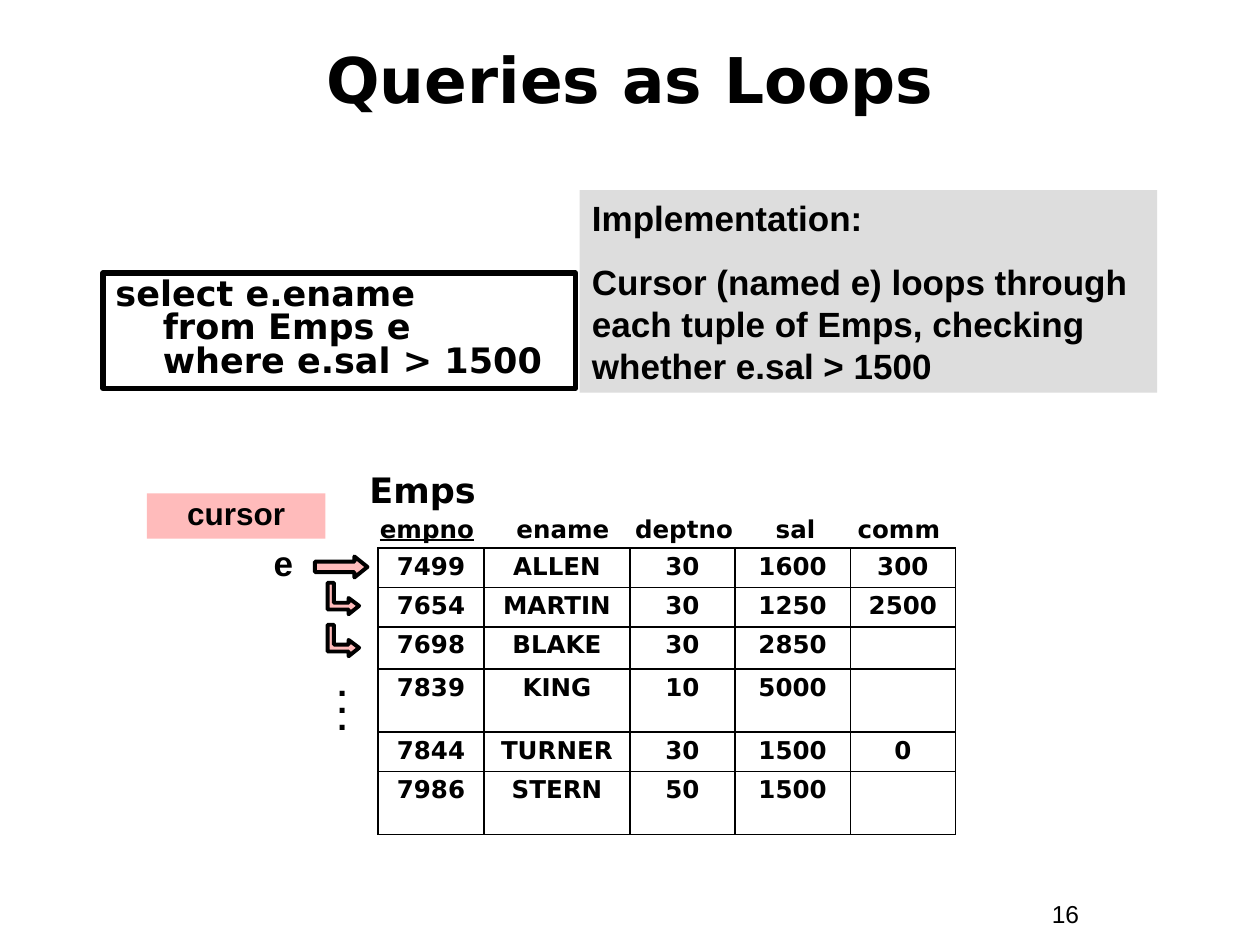
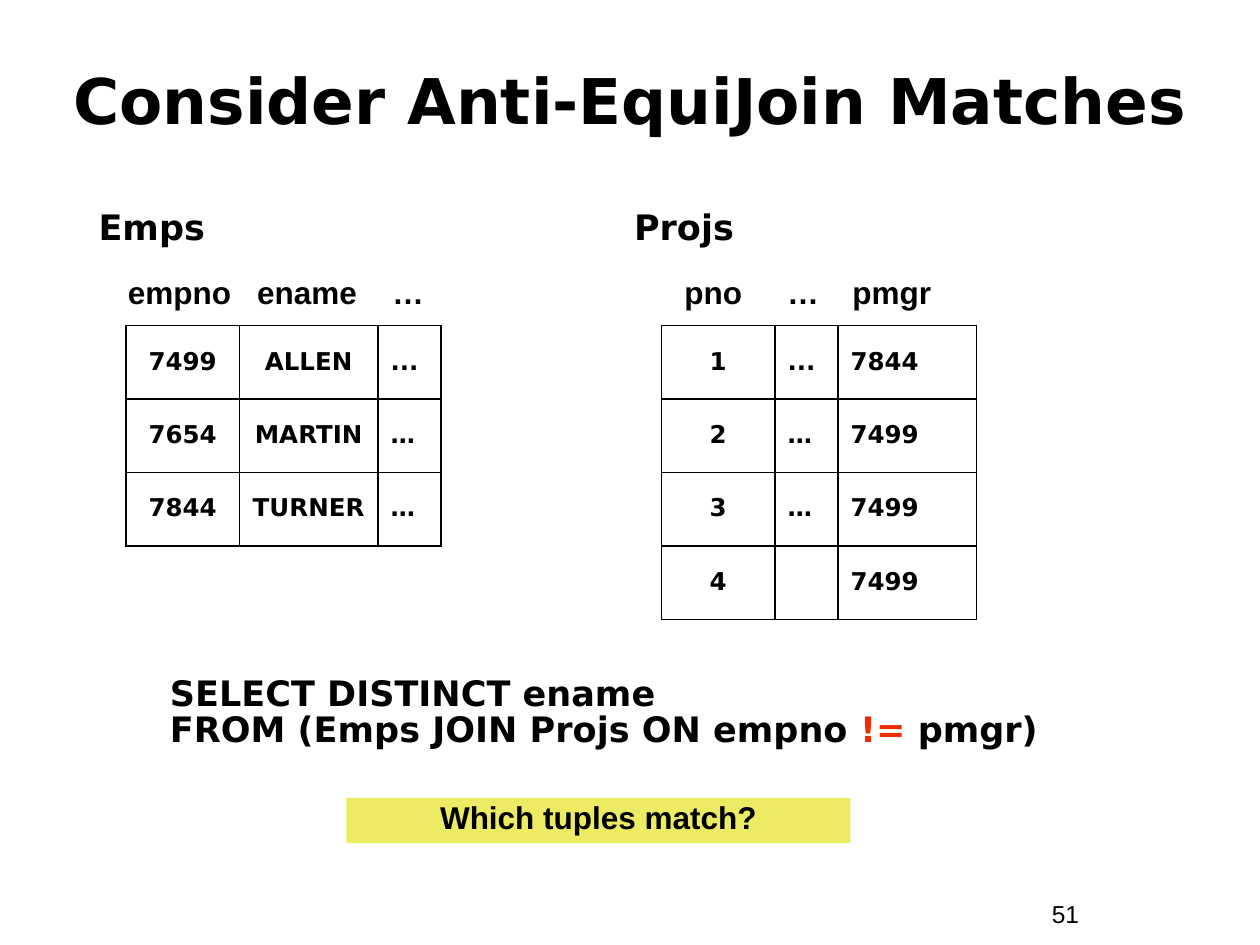
from lxml.etree import SubElement
from pptx import Presentation
from pptx.dml.color import RGBColor
from pptx.enum.shapes import MSO_SHAPE
from pptx.enum.text import MSO_ANCHOR, MSO_AUTO_SIZE, PP_ALIGN
from pptx.oxml.ns import qn
from pptx.util import Inches, Pt

# Shared style
HEADING_FONT, BODY_FONT = "DejaVu Sans", "Arial"
BLACK, RED, PINK, GREY, YELLOW = "000000", "EA2D00", "FFBBBB", "DDDDDD", "EDEA63"
LEFT, CENTER = PP_ALIGN.LEFT, PP_ALIGN.CENTER
COLUMNS = 120  # the slide is a grid of 120 columns by 90 rows
TITLE_LAYOUT, BODY_LAYOUT = 5, 1
# Elbow arrow outline in hundredths of a grid cell
ELBOW = [(60, 0), (60, 190), (200, 190), (200, 145), (300, 220),
         (200, 300), (200, 255), (0, 255), (0, 0)]


def colour(value):
    return RGBColor.from_string(value)


class Deck:
    """Holds the style and the slide being filled."""

    def __init__(self):
        self.presentation = Presentation()
        self.presentation.slide_width = Inches(10)
        self.presentation.slide_height = Inches(7.5)
        self.unit = self.presentation.slide_width // COLUMNS
        self.slide = None

    def cells(self, *lengths):
        return [round(length * self.unit) for length in lengths]

    def place(self, shape, area):
        shape.left, shape.top, shape.width, shape.height = self.cells(*area)

    def start(self, layout, title, title_rows, number):
        layouts = self.presentation.slide_layouts
        self.slide = self.presentation.slides.add_slide(layouts[layout])
        heading = self.slide.shapes.title
        self.place(heading, (4, 4, 112, title_rows))
        self.set_text(heading.text_frame, [title], 36, HEADING_FONT,
                      align=CENTER, anchor=MSO_ANCHOR.MIDDLE)
        self.box((99, 85, 11, 4), [number], 14, bold=False)

    def set_text(self, frame, paragraphs, size, font=BODY_FONT, bold=True, align=LEFT,
                 spacing=1.0, before=0, anchor=MSO_ANCHOR.TOP):
        """Each paragraph is a string or a list of (text, run settings)."""
        frame.word_wrap = True
        frame.auto_size = MSO_AUTO_SIZE.NONE
        frame.vertical_anchor = anchor
        for index, content in enumerate(paragraphs):
            paragraph = frame.add_paragraph() if index else frame.paragraphs[0]
            paragraph.alignment = align
            paragraph.line_spacing = spacing
            paragraph.space_before = Pt(before if index else 0)
            pieces = [(content, {})] if isinstance(content, str) else content
            for text, settings in pieces:
                for line_index, line in enumerate(text.split("\n")):
                    if line_index:
                        paragraph.add_line_break()
                    run = paragraph.add_run()
                    run.text = line
                    run.font.name = font
                    run.font.size = Pt(size)
                    run.font.bold = bold
                    run.font.underline = settings.get("underline")
                    run.font.color.rgb = colour(settings.get("colour", BLACK))

    def box(self, area, paragraphs, size, font=BODY_FONT, fill=None, **style):
        shapes = self.slide.shapes
        if fill:
            shape = shapes.add_shape(MSO_SHAPE.RECTANGLE, *self.cells(*area))
            self.paint(shape, fill)
        else:
            shape = shapes.add_textbox(*self.cells(*area))
        self.set_text(shape.text_frame, paragraphs, size, font, **style)
        return shape

    def paint(self, shape, fill, line_width=0):
        shape.shadow.inherit = False
        shape.fill.solid()
        shape.fill.fore_color.rgb = colour(fill)
        if line_width:
            shape.line.color.rgb = colour(BLACK)
            shape.line.width = Pt(line_width)
        else:
            shape.line.fill.background()

    def body(self, area, text, size, indent):
        """Framed body placeholder with a hanging indent and no bullet."""
        shape = self.slide.placeholders[1]
        self.place(shape, area)
        shape.line.color.rgb = colour(BLACK)
        shape.line.width = Pt(3)
        self.set_text(shape.text_frame, [text], size, HEADING_FONT, spacing=0.8)
        properties = shape.text_frame.paragraphs[0]._p.get_or_add_pPr()
        hang, = self.cells(indent)
        properties.set("marL", str(hang))
        properties.set("indent", str(-hang))
        SubElement(properties, qn("a:buNone"))

    def column_heads(self, area, pieces, stops, size, font=BODY_FONT, spacing=1.0):
        """Column names in one line, set apart by tab stops."""
        shape = self.box(area, [pieces], size, font, spacing=spacing)
        properties = shape.text_frame.paragraphs[0]._p.get_or_add_pPr()
        tabs = SubElement(properties, qn("a:tabLst"))
        for stop in self.cells(*stops):
            SubElement(tabs, qn("a:tab"), pos=str(stop), algn="l")

    def table(self, left, top, widths, heights, records, alignments,
              anchor=MSO_ANCHOR.TOP):
        area = self.cells(left, top, sum(widths), sum(heights))
        table = self.slide.shapes.add_table(len(heights), len(widths), *area).table
        table.first_row = table.horz_banding = False
        for column, width in zip(table.columns, self.cells(*widths)):
            column.width = width
        for row, height, record in zip(table.rows, self.cells(*heights), records):
            row.height = height
            for cell, text, align in zip(row.cells, record, alignments):
                self.cell(cell, text, align, anchor)

    def cell(self, cell, text, align, anchor):
        if text:
            self.set_text(cell.text_frame, [text], 14, HEADING_FONT,
                          align=align, spacing=0.9)
        else:
            SubElement(cell.text_frame.paragraphs[0]._p, qn("a:endParaRPr"), sz="1400")
        cell.vertical_anchor = anchor
        properties = cell._tc.get_or_add_tcPr()
        for side in ("a:lnL", "a:lnR", "a:lnT", "a:lnB"):
            border = SubElement(properties, qn(side), w=str(int(Pt(1.08))))
            solid = SubElement(border, qn("a:solidFill"))
            SubElement(solid, qn("a:srgbClr"), val=BLACK)
        cell.fill.background()

    def right_arrow(self, area):
        arrow = self.slide.shapes.add_shape(MSO_SHAPE.RIGHT_ARROW, *self.cells(*area))
        arrow.adjustments[1] = 0.62
        self.paint(arrow, PINK, 2.25)

    def elbow_arrow(self, left, top):
        builder = self.slide.shapes.build_freeform(*ELBOW[0], scale=self.unit / 100)
        builder.add_line_segments(ELBOW[1:], close=True)
        self.paint(builder.convert_to_shape(*self.cells(left, top)), PINK, 2.25)


def queries_as_loops(deck):
    deck.start(BODY_LAYOUT, "Queries as Loops", 7, "16")

    # Query and how it is carried out
    deck.body((9.8, 26, 45, 11), "select e.ename\nfrom Emps e\nwhere e.sal > 1500",
              20, indent=4.5)
    deck.box((55.2, 18.1, 55, 19.3),
             ["Implementation:",
              "Cursor (named e) loops through\n"
              "each tuple of Emps, checking whether e.sal > 1500"],
             20, fill=GREY, before=12.5)

    # Emps table
    deck.column_heads((35, 48.4, 57, 4),
                      [("empno", {"underline": True}),
                       ("\tename\tdeptno\tsal\tcomm", {})],
                      (13, 24.3, 37.7, 45.5), 14, HEADING_FONT)
    employees = [("7499", "ALLEN", "30", "1600", "300"),
                 ("7654", "MARTIN", "30", "1250", "2500"),
                 ("7698", "BLAKE", "30", "2850", ""),
                 ("7839", "KING", "10", "5000", ""),
                 ("7844", "TURNER", "30", "1500", "0"),
                 ("7986", "STERN", "50", "1500", "")]
    low, high = 3.75, 6
    deck.table(36, 52.2, (10.1, 13.9, 10, 11, 10), (low, low, low, high, low, high),
               employees, [CENTER] * 5)
    deck.box((34, 44, 28, 5.3), ["Emps"], 20, HEADING_FONT)

    # Cursor moving down the rows
    deck.right_arrow((30, 53, 5, 2))
    deck.box((24, 51, 6, 5.3), ["e"], 20, align=CENTER)
    for top in (55.5, 59.5):
        deck.elbow_arrow(31.2, top)
    deck.box((30.2, 64.5, 4.8, 6), [".\n.\n."], 20, align=CENTER, spacing=0.4)
    deck.box((14, 47, 17, 4.3), ["cursor"], 18, fill=PINK, align=CENTER, spacing=0.85)


def anti_equijoin(deck):
    deck.start(TITLE_LAYOUT, "Consider Anti-EquiJoin Matches", 11, "51")

    # Emps and Projs side by side
    employees = [("7499", "ALLEN", "..."), ("7654", "MARTIN", "…"),
                 ("7844", "TURNER", "…")]
    projects = [("1", "...", "7844"), ("2", "…", "7499"),
                ("3", "…", "7499"), ("4", "", "7499")]
    relations = [
        ("Emps", 12, 11, "empno\tename\t…", (12.3, 25.2),
         (10.8, 13.2, 6), employees, (CENTER, CENTER, LEFT)),
        ("Projs", 63, 64, "pno\t…\tpmgr", (9.8, 16),
         (10.8, 6, 13.2), projects, (CENTER, LEFT, LEFT)),
    ]
    for name, left, heads_left, heads, stops, widths, records, alignments in relations:
        deck.table(left, 31, widths, [7] * len(records), records, alignments,
                   MSO_ANCHOR.MIDDLE)
        deck.column_heads((heads_left, 26, 38, 4.3), heads, stops, 18, spacing=0.85)
        deck.box((left - 3.8, 19, 25.8, 5.3), [name], 20, HEADING_FONT)

    # Query and question
    query = [("SELECT DISTINCT ename\nFROM (Emps JOIN Projs ON empno ", {}),
             ("!=", {"colour": RED}), (" pmgr)", {})]
    deck.box((15, 64, 88, 8), [query], 20, HEADING_FONT, spacing=0.85)
    deck.box((33, 76, 48, 4.3), ["Which tuples match?"], 18, fill=YELLOW,
             align=CENTER, spacing=0.85)


def main():
    deck = Deck()
    queries_as_loops(deck)
    anti_equijoin(deck)
    deck.presentation.save("out.pptx")


if __name__ == "__main__":
    main()
